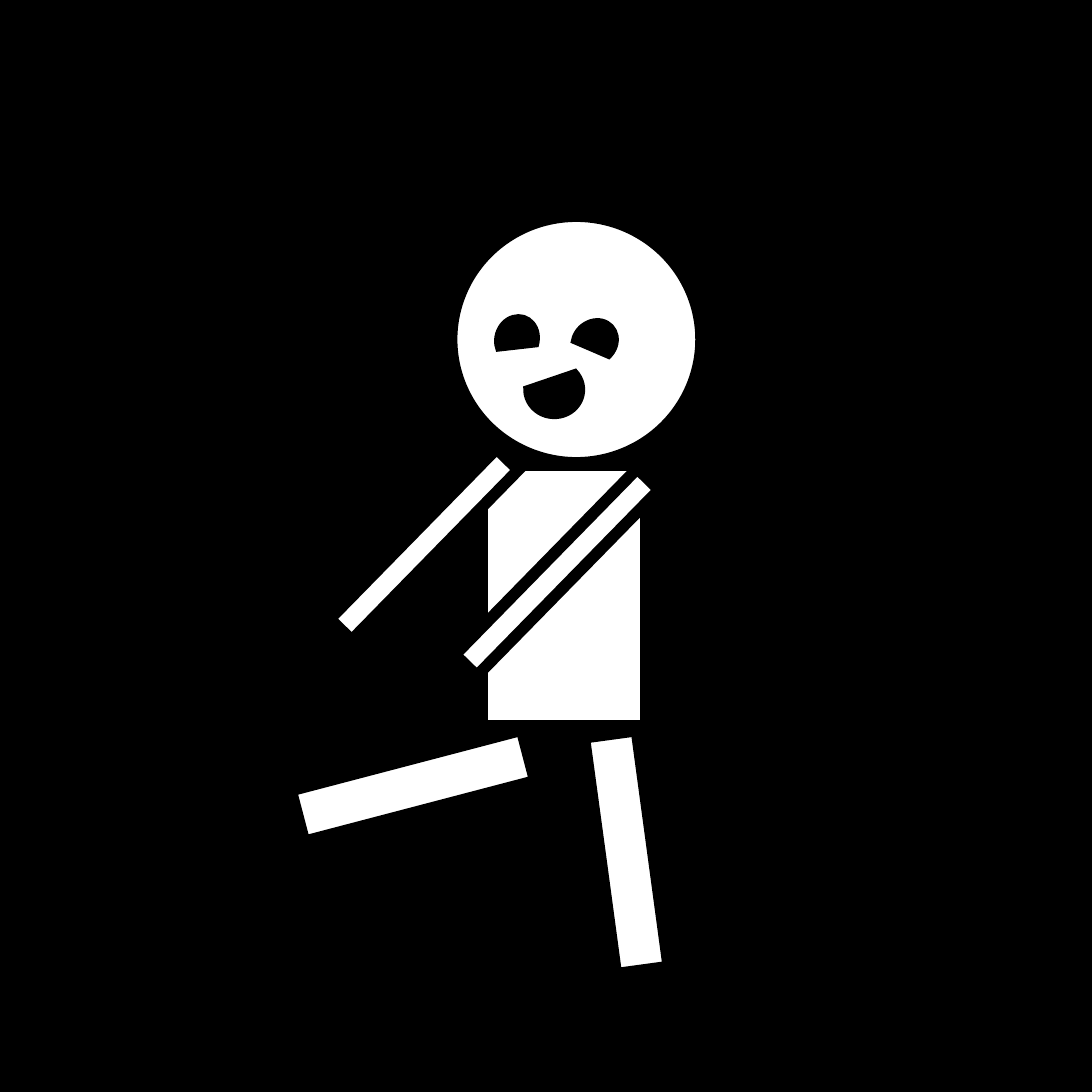
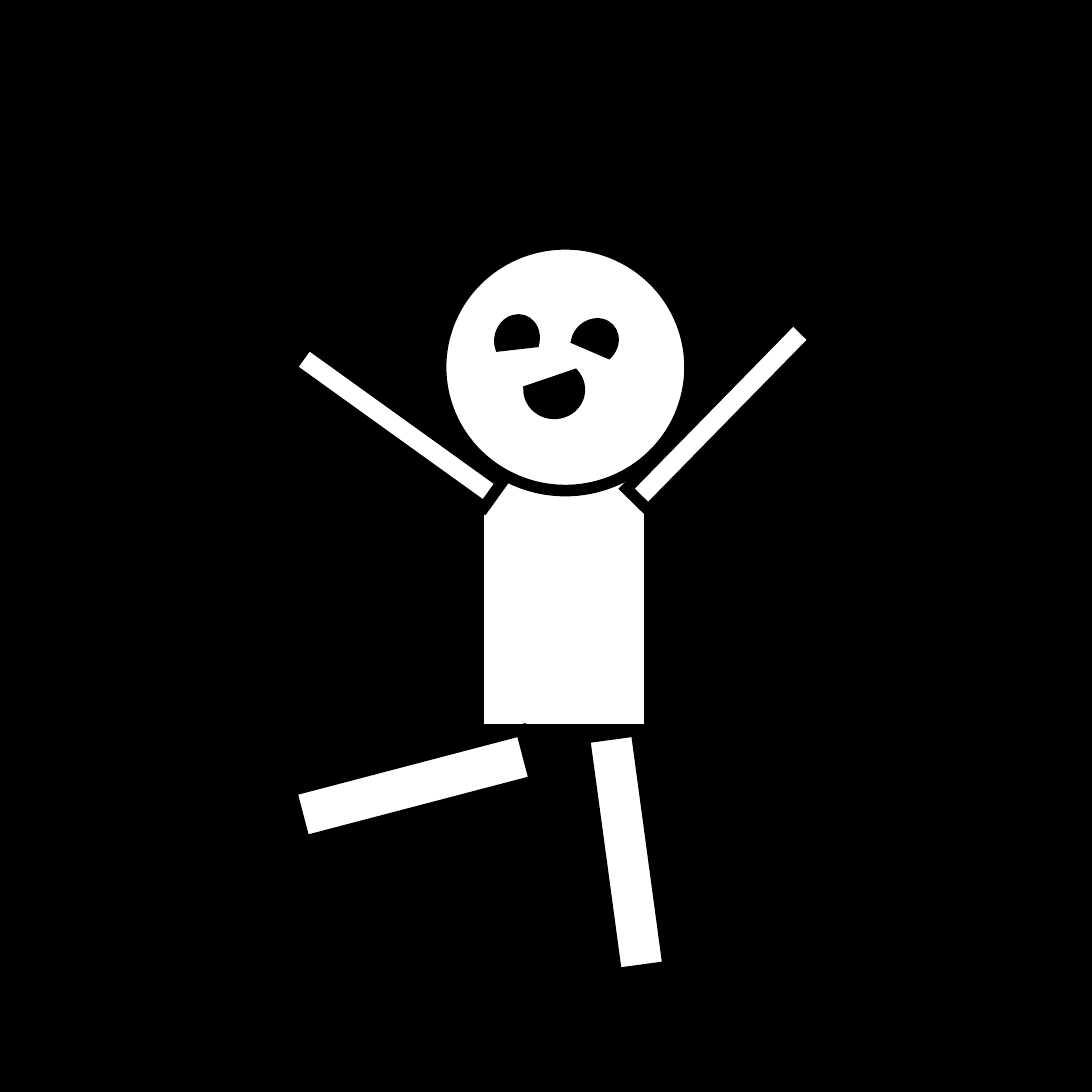
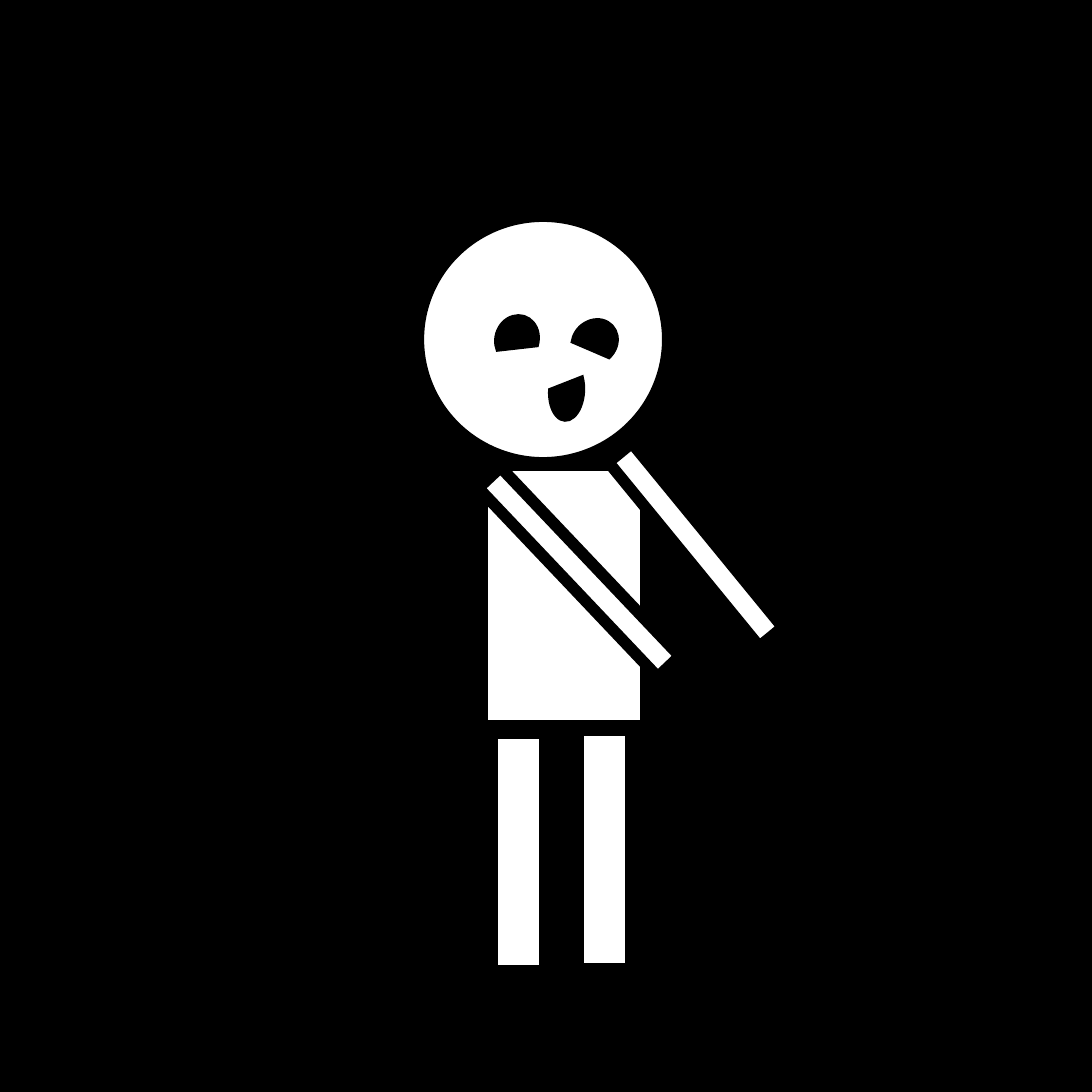
from dataclasses import dataclass

from lxml import etree
from pptx import Presentation
from pptx.dml.color import RGBColor
from pptx.enum.shapes import MSO_SHAPE
from pptx.oxml.ns import qn
from pptx.util import Inches, Pt

CHORD, OVAL, RECTANGLE = MSO_SHAPE.CHORD, MSO_SHAPE.OVAL, MSO_SHAPE.RECTANGLE
COLORS = {"ink": "000000", "body": "FFFFFF"}
SLIDE_SIDE = 3.94
BLANK_LAYOUT = 6
THICK, THIN = 3, 1
FIGURE_ORIGIN = (1.0, 0.78)

HEAD_SIZE = (0.9, 0.89)
EYE_SIZE = (0.17, 0.15)
EYES = [(0.78, 0.37, 106.7), (1.06, 0.38, 136.4)]
MOUTH_ANGLE = 273.4
WIDE_MOUTH = (0.9, 0.52, 0.2, 0.21)
SMALL_MOUTH = (0.94, 0.57, 0.21, 0.12)
TORSO = (0.74, 0.9, 0.59, 0.94)
ARM_THICKNESS, LEG_THICKNESS = 0.11, 0.19
LIMB_LENGTH, CROSSING_ARM_LENGTH = 0.86, 0.94

# Limbs are left, top, length, angle, measured from the figure's origin.
RUNNING_LEGS = [(0.83, 2.2, LIMB_LENGTH, 82.3), (0.06, 1.96, LIMB_LENGTH, 165.3)]
STANDING_LEGS = [(0.75, 2.19, LIMB_LENGTH, 90), (0.44, 2.2, LIMB_LENGTH, 90)]


@dataclass
class Pose:
    head: tuple
    arms: list
    legs: list
    mouth: tuple = WIDE_MOUTH
    torso_line: float = THICK


POSES = [
    Pose(
        head=(0.63, 0),
        arms=[(0.54, 1.23, CROSSING_ARM_LENGTH, 134.4), (0.1, 1.13, LIMB_LENGTH, 134.4)],
        legs=RUNNING_LEGS,
    ),
    Pose(
        head=(0.59, 0.1),
        arms=[(0, 0.7, LIMB_LENGTH, 35.7), (1.17, 0.66, LIMB_LENGTH, 134.4)],
        legs=RUNNING_LEGS,
        torso_line=THIN,
    ),
    Pose(
        head=(0.51, 0),
        arms=[(0.62, 1.23, CROSSING_ARM_LENGTH, 46.5), (1.08, 1.13, LIMB_LENGTH, 230.7)],
        legs=STANDING_LEGS,
        mouth=SMALL_MOUTH,
    ),
]


def add_part(slide, origin, kind, box, fill="body", line_width=THICK, angle=0):
    """Add one outlined shape whose box is measured from origin."""
    left, top, width, height = box
    shape = slide.shapes.add_shape(
        kind, Inches(origin[0] + left), Inches(origin[1] + top), Inches(width), Inches(height)
    )
    shape.rotation = angle
    shape.shadow.inherit = False
    shape.fill.solid()
    shape.fill.fore_color.rgb = RGBColor.from_string(COLORS[fill])
    shape.line.color.rgb = RGBColor.from_string(COLORS["ink"])
    shape.line.width = Pt(line_width)
    outline = shape._element.spPr.find(qn("a:ln"))
    etree.SubElement(outline, qn("a:miter")).set("lim", "800000")


def add_face(slide, origin, head, mouth):
    add_part(slide, origin, OVAL, (*head, *HEAD_SIZE))
    features = [((left, top, *EYE_SIZE), angle) for left, top, angle in EYES]
    features.append((mouth, MOUTH_ANGLE))
    for box, angle in features:
        add_part(slide, origin, CHORD, box, "ink", THIN, angle)


def add_limbs(slide, origin, limbs, thickness):
    for left, top, length, angle in limbs:
        add_part(slide, origin, RECTANGLE, (left, top, length, thickness), angle=angle)


def add_figure(slide, origin, pose):
    add_part(slide, origin, RECTANGLE, TORSO, line_width=pose.torso_line)
    add_face(slide, origin, pose.head, pose.mouth)
    add_limbs(slide, origin, pose.arms, ARM_THICKNESS)
    add_limbs(slide, origin, pose.legs, LEG_THICKNESS)


def main():
    presentation = Presentation()
    presentation.slide_width = presentation.slide_height = Inches(SLIDE_SIDE)
    background = presentation.slide_master.background.fill
    background.solid()
    background.fore_color.rgb = RGBColor.from_string(COLORS["ink"])
    for pose in POSES:
        slide = presentation.slides.add_slide(presentation.slide_layouts[BLANK_LAYOUT])
        add_figure(slide, FIGURE_ORIGIN, pose)
    presentation.save("out.pptx")


if __name__ == "__main__":
    main()
